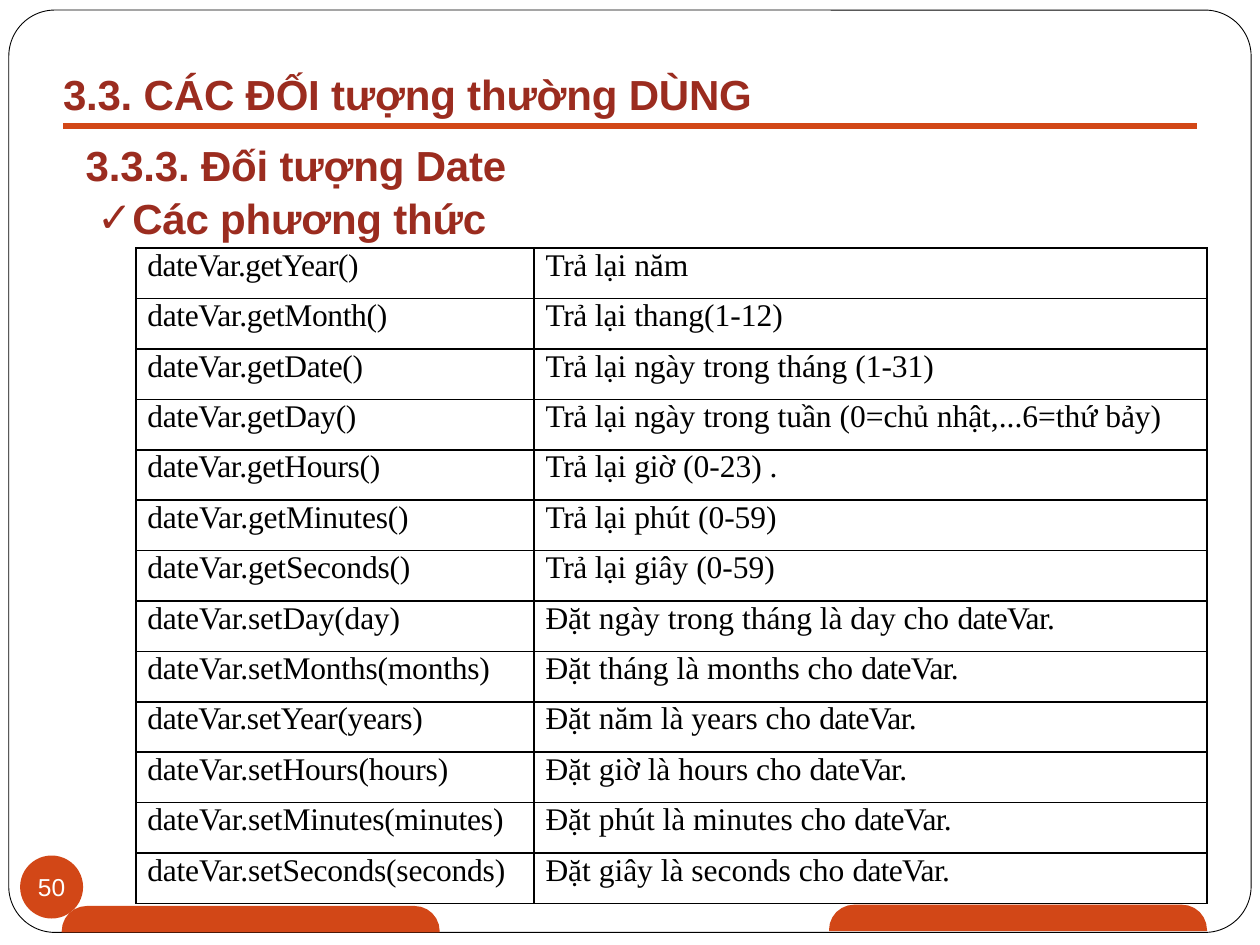
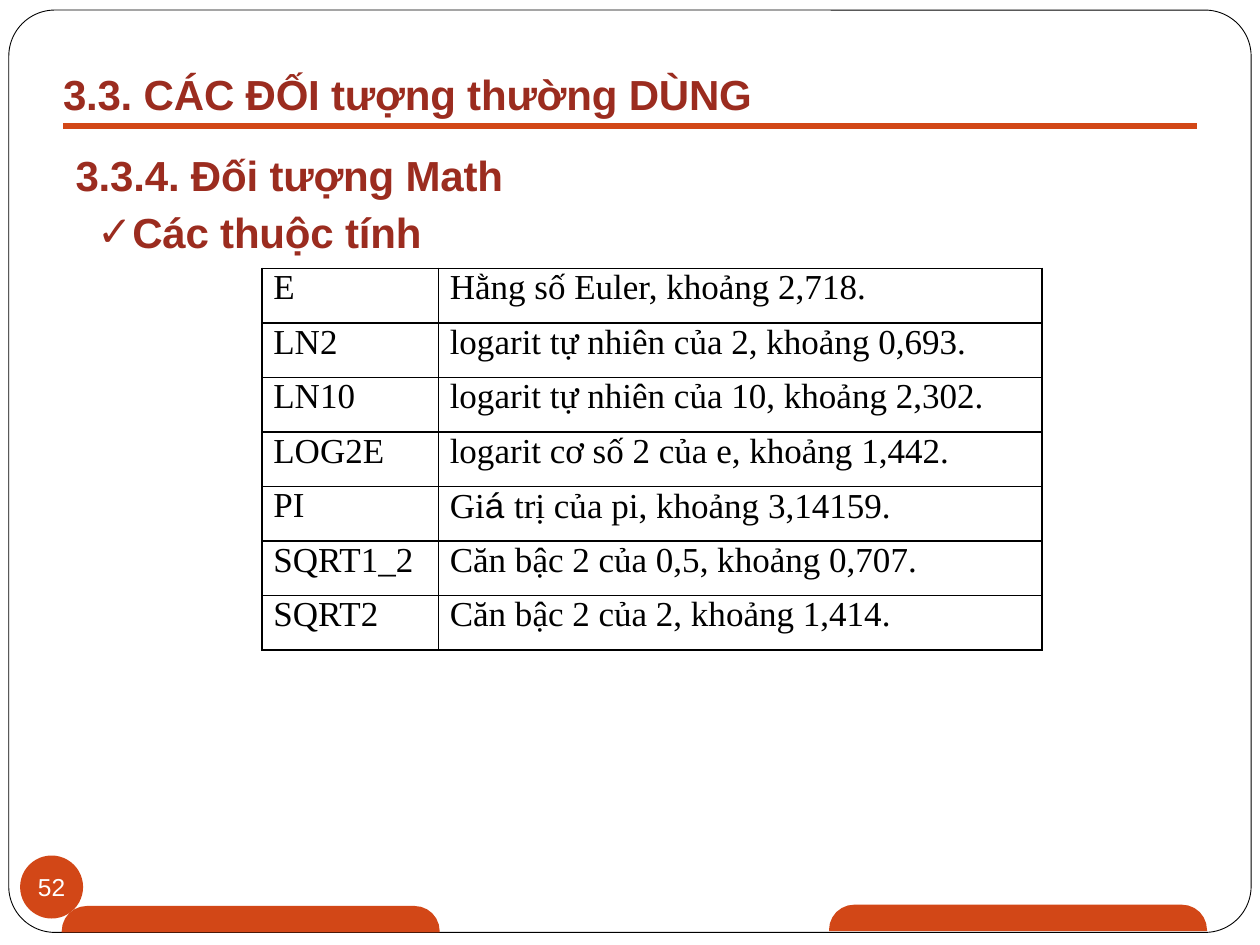
from dataclasses import dataclass
from math import cos, pi, sin
from typing import NamedTuple

from lxml.etree import SubElement
from pptx import Presentation
from pptx.dml.color import RGBColor
from pptx.enum.shapes import MSO_CONNECTOR, MSO_SHAPE
from pptx.enum.text import MSO_ANCHOR, MSO_AUTO_SIZE, PP_ALIGN
from pptx.oxml import parse_xml
from pptx.oxml.ns import nsdecls, qn
from pptx.util import Emu, Inches, Pt

# Shared style
ORANGE = RGBColor(0xD2, 0x47, 0x17)
BRICK = RGBColor(0x9B, 0x2C, 0x1F)
BLACK = RGBColor(0, 0, 0)
WHITE = RGBColor(0xFF, 0xFF, 0xFF)
HEAD_FONT, TABLE_FONT = "Arial", "Times New Roman"
TITLE = "3.3. CÁC ĐỐI tượng thường DÙNG"

# Grid of 100 columns by 75 rows
W, H = Inches(10), Inches(7.5)
COL, ROW = W / 100, H / 75


class Box(NamedTuple):
    """A rectangle in grid columns and rows."""
    left: float
    top: float
    width: float
    height: float

    def emu(self) -> tuple[Emu, ...]:
        units = (COL, ROW, COL, ROW)
        return tuple(Emu(round(v * u)) for v, u in zip(self, units))


class Run(NamedTuple):
    text: str
    spacing: float = 0
    font: str = TABLE_FONT


Row = tuple[list[Run], list[Run]]


@dataclass(frozen=True)
class Topic:
    number: int
    heading: str
    bullet: str
    body_top: float
    heading_indent: float
    bullet_gap: float
    table: Box
    first_width: float
    size: int
    rows: list[Row]


FRAME = Box(0.7, 0.8, 98.6, 73.2)
BADGE = Box(1.6, 67.9, 5, 5)
TITLE_BOX = Box(4.9, 5.4, 90, 4)
TABS = [Box(4.9, 71.9, 30, 2.1), Box(65.8, 71.8, 30, 2.1)]
TAB_RADIUS = 2


def add_runs(p, runs: list[Run]) -> None:
    for run in runs:
        r = p.add_run()
        r.text = run.text
        if run.font != TABLE_FONT:
            r.font.name = run.font
        if run.spacing:
            r._r.get_or_add_rPr().set("spc", str(round(run.spacing * 100)))


def set_font(p, name: str, size: float, color: RGBColor, bold: bool = False) -> None:
    f = p.font
    f.name, f.size, f.bold = name, Pt(size), bold
    f.color.rgb = color


def style_shape(sp, fill: RGBColor | None, line: RGBColor | None = None) -> None:
    sp.shadow.inherit = False
    if fill is None:
        sp.fill.background()
    else:
        sp.fill.solid()
        sp.fill.fore_color.rgb = fill
    if line is None:
        sp.line.fill.background()
    else:
        sp.line.color.rgb = line
        sp.line.width = Pt(0.5)


def add_tab(s, box: Box) -> None:
    """Footer tab with rounded upper corners."""
    angles = [i * pi / 12 for i in range(7)]
    cy = box.top + TAB_RADIUS
    left = [(box.left + TAB_RADIUS * (1 - cos(a)), cy - TAB_RADIUS * sin(a))
            for a in angles]
    right = [(2 * box.left + box.width - x, y) for x, y in reversed(left)]
    bottom = box.top + box.height
    points = [(box.left, bottom), *left, *right, (box.left + box.width, bottom)]
    points = [(round(x * COL), round(y * ROW)) for x, y in points]
    fb = s.shapes.build_freeform(*points[0])
    fb.add_line_segments(points[1:], close=True)
    style_shape(fb.convert_to_shape(), ORANGE)


def add_decoration(s, number: int) -> None:
    # Frame
    sp = s.shapes.add_shape(MSO_SHAPE.ROUNDED_RECTANGLE, *FRAME.emu())
    sp.adjustments[0] = 0.05
    style_shape(sp, None, BLACK)
    # Rule below the title
    x1, y, x2, _ = Box(5, 10, 95, 0).emu()
    rule = s.shapes.add_connector(MSO_CONNECTOR.STRAIGHT, x1, y, x2, y)
    rule.line.color.rgb = ORANGE
    rule.line.width = Pt(3)
    SubElement(rule._element.spPr, qn("a:effectLst"))
    # Footer tabs
    for tab in TABS:
        add_tab(s, tab)
    # Page number
    sp = s.shapes.add_shape(MSO_SHAPE.OVAL, *BADGE.emu())
    style_shape(sp, ORANGE)
    reset_frame(sp.text_frame, MSO_ANCHOR.MIDDLE)
    p = sp.text_frame.paragraphs[0]
    p.text, p.alignment = str(number), PP_ALIGN.CENTER
    set_font(p, HEAD_FONT, 14, WHITE)


def reset_frame(tf, anchor: MSO_ANCHOR = MSO_ANCHOR.TOP) -> None:
    tf.margin_left = tf.margin_right = tf.margin_top = tf.margin_bottom = 0
    tf.vertical_anchor = anchor
    tf.auto_size = MSO_AUTO_SIZE.NONE
    tf.word_wrap = True


def place(ph, box: Box) -> None:
    ph.left, ph.top, ph.width, ph.height = box.emu()
    reset_frame(ph.text_frame)


def add_heading(p, text: str, left: float, hanging: float = 0,
                before: float = 0, bullet: str = "") -> None:
    add_runs(p, [Run(text, -0.1)])
    p.alignment = PP_ALIGN.LEFT
    p.space_before, p.line_spacing = Pt(before), 1.0
    set_font(p, HEAD_FONT, 24, BRICK, True)
    pPr = p._p.get_or_add_pPr()
    pPr.set("marL", str(Inches(left + hanging)))
    pPr.set("indent", str(-Inches(hanging)))
    tag = f'<a:buChar {nsdecls("a")} char="{bullet}"/>' if bullet else f'<a:buNone {nsdecls("a")}/>'
    pPr.find(qn("a:defRPr")).addprevious(parse_xml(tag))


def add_border(cell) -> None:
    tcPr = cell._tc.get_or_add_tcPr()
    for i, side in enumerate("LRTB"):
        tcPr.insert(i, parse_xml(
            f'<a:ln{side} {nsdecls("a")} w="{Pt(1)}"><a:solidFill>'
            f'<a:srgbClr val="{BLACK}"/></a:solidFill></a:ln{side}>'))


def add_grid(s, topic: Topic) -> None:
    box = topic.table.emu()
    tbl = s.shapes.add_table(len(topic.rows), 2, *box).table
    tbl.first_row = tbl.horz_banding = False
    tbl.columns[0].width = Emu(round(topic.first_width * COL))
    tbl.columns[1].width = box[2] - tbl.columns[0].width
    for row, texts in zip(tbl.rows, topic.rows):
        row.height = Emu(box[3] // len(topic.rows))
        for cell, runs in zip(row.cells, texts):
            cell.margin_left = Inches(0.09)
            cell.margin_right = cell.margin_top = cell.margin_bottom = 0
            cell.fill.background()
            add_border(cell)
            p = cell.text_frame.paragraphs[0]
            p.space_before = Pt(2.5)
            set_font(p, TABLE_FONT, topic.size, BLACK)
            add_runs(p, runs)


def add_topic(prs, topic: Topic) -> None:
    s = prs.slides.add_slide(prs.slide_layouts[1])
    title, body = s.shapes.title, s.placeholders[1]
    place(title, TITLE_BOX)
    add_heading(title.text_frame.paragraphs[0], TITLE, 0.01)
    place(body, Box(4.9, topic.body_top, 61.1, 8.6))
    tf = body.text_frame
    add_heading(tf.paragraphs[0], topic.heading, topic.heading_indent)
    add_heading(tf.add_paragraph(), topic.bullet, 0.28, 0.27, topic.bullet_gap, "✓")
    add_decoration(s, topic.number)
    add_grid(s, topic)


# Table contents
def getter(name: str, result: str, spacing: float = -0.2) -> Row:
    return [Run(f"dateVar.get{name}()", spacing)], [Run("Trả ", -0.2), Run(f"lại {result}")]


def setter(name: str, part: str, value: str, spacing: float = -0.1) -> Row:
    return ([Run(f"dateVar.set{name}({value})", spacing)],
            [Run(f"Đặt {part} là {value} cho "), Run("dateVar.", -0.4)])


def constant(name: str, *meaning: str | Run) -> Row:
    return [Run(name)], [m if isinstance(m, Run) else Run(m) for m in meaning]


DATE_METHODS = [
    getter("Year", "năm", -0.3),
    getter("Month", "thang(1-12)"),
    getter("Date", "ngày trong tháng (1-31)"),
    getter("Day", "ngày trong tuần (0=chủ nhật,...6=thứ bảy)"),
    getter("Hours", "giờ (0-23) ."),
    getter("Minutes", "phút (0-59)", -0.1),
    getter("Seconds", "giây (0-59)", -0.1),
    setter("Day", "ngày trong tháng", "day"),
    setter("Months", "tháng", "months"),
    setter("Year", "năm", "years", -0.2),
    setter("Hours", "giờ", "hours"),
    setter("Minutes", "phút", "minutes"),
    setter("Seconds", "giây", "seconds"),
]
MATH_CONSTANTS = [
    constant("E", "Hằng số Euler, khoảng 2,718."),
    constant("LN2", "logarit tự nhiên của 2, khoảng 0,693."),
    constant("LN10", "logarit tự nhiên của 10, khoảng 2,302."),
    constant("LOG2E", "logarit cơ số 2 của e, khoảng 1,442."),
    constant("PI", "Gi", Run("á ", font=HEAD_FONT), "trị của pi, khoảng 3,14159."),
    constant("SQRT1_2", "Căn bậc 2 của 0,5, khoảng 0,707."),
    constant("SQRT2", "Căn bậc 2 của 2, khoảng 1,414."),
]
TOPICS = [
    Topic(50, "3.3.3. Đối tượng Date", "Các phương thức", 11.1, 0.19, 1.2,
          Box(10.8, 19.7, 85, 52), 31.6, 18, DATE_METHODS),
    Topic(52, "3.3.4. Đối tượng Math", "Các thuộc tính", 11.9, 0.11, 3.7,
          Box(20.8, 21.3, 61.9, 30.3), 14, 20, MATH_CONSTANTS),
]


def main() -> None:
    prs = Presentation()
    prs.slide_width, prs.slide_height = W, H
    for topic in TOPICS:
        add_topic(prs, topic)
    prs.save("out.pptx")


if __name__ == "__main__":
    main()
